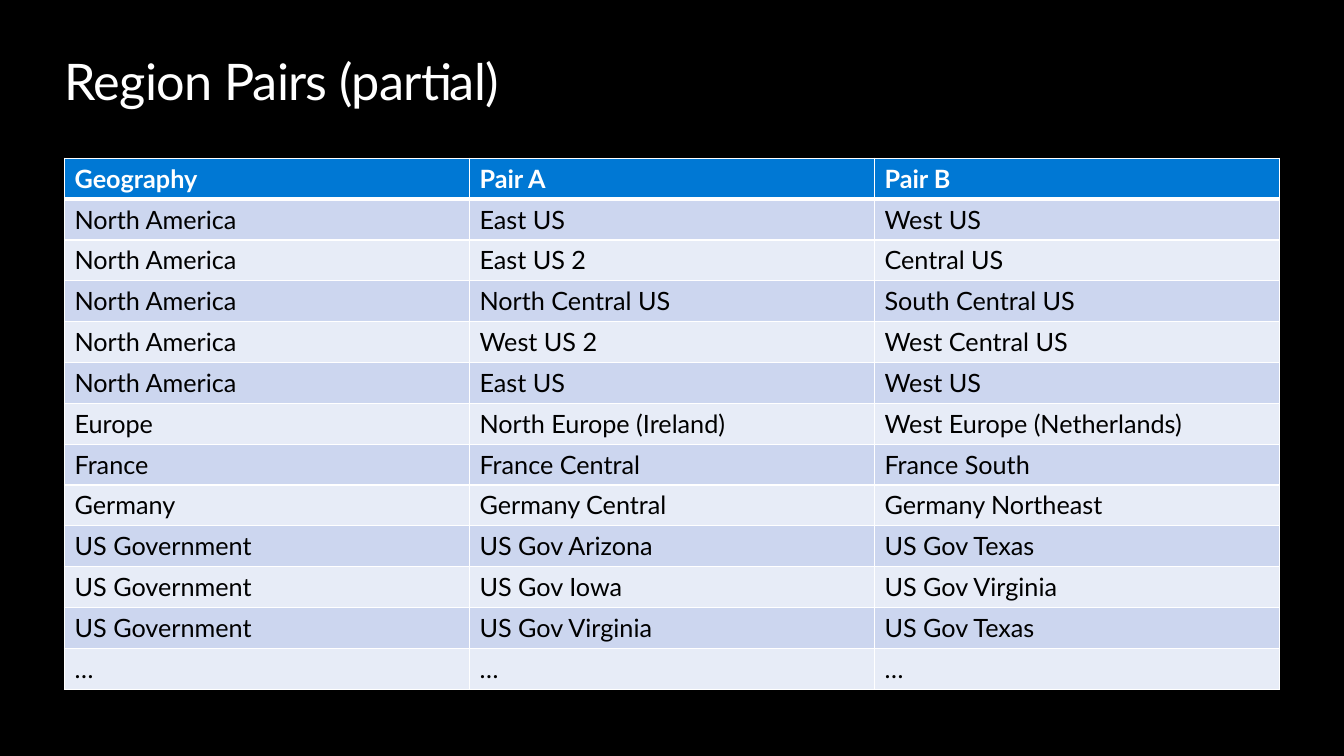
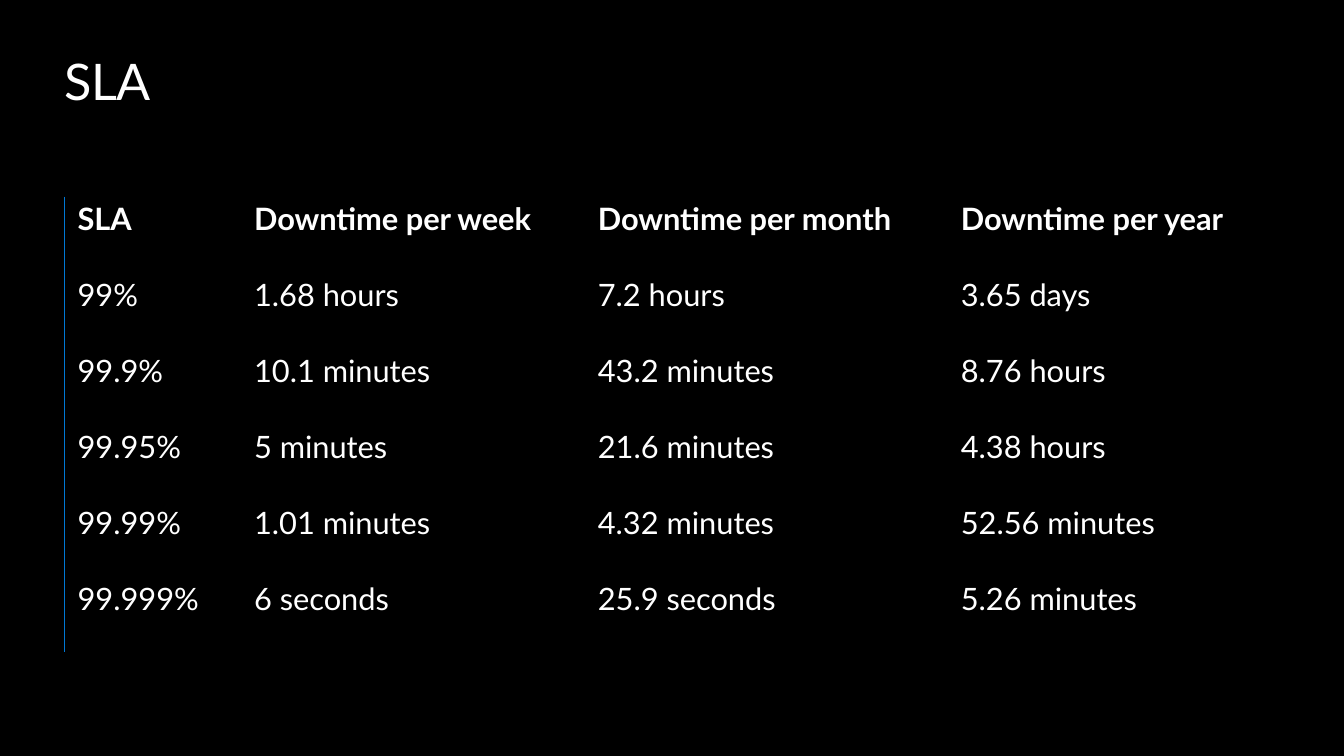
from dataclasses import dataclass

from lxml import etree
from pptx import Presentation
from pptx import util as u
from pptx.dml.color import RGBColor
from pptx.enum import text as t
from pptx.oxml import ns

SLIDE_W, SLIDE_H = 13.33, 7.5
MARGIN = 0.64
CONTENT_W = SLIDE_W - 2 * MARGIN
TITLE_TOP, TITLE_H = 0.5, 0.61
FONT = "Lato"
BLACK, WHITE, BLUE = "000000", "FFFFFF", "0078D4"
BAND_DARK, BAND_LIGHT = "CCD6EF", "E7ECF7"
NO_STYLE_NO_GRID = "{2D5ABB26-0587-4C30-8999-92F81FD0307C}"
SIDES = ("L", "R", "T", "B")


@dataclass(frozen=True)
class TableLook:
    """Lengths are inches; column shares are relative widths."""
    top: float
    height: float
    column_shares: tuple[float, ...]
    size: int
    header_fill: str
    band_fills: tuple[str, ...]
    body_color: str
    insets: tuple[float, float, float, float]  # left, top, right, bottom
    gridded: bool


@dataclass(frozen=True)
class TableSlide:
    title: str
    look: TableLook
    rows: tuple[tuple[str, ...], ...]


REGION_LOOK = TableLook(
    top=1.57, height=5.27, column_shares=(1, 1, 1), size=18,
    header_fill=BLUE, band_fills=(BAND_DARK, BAND_LIGHT), body_color=BLACK,
    insets=(0.1, 0.05, 0.1, 0.05), gridded=True)
SLA_LOOK = TableLook(
    top=1.95, height=4.52, column_shares=(1.75, 3.41, 3.6, 3.29), size=22,
    header_fill=BLACK, band_fills=(BLACK,), body_color=WHITE,
    insets=(0.13, 0.04, 0.2, 0.28), gridded=False)

SLIDES = (
    TableSlide("Region Pairs (partial)", REGION_LOOK, (
        ("Geography", "Pair A", "Pair B"),
        ("North America", "East US", "West US"),
        ("North America", "East US 2", "Central US"),
        ("North America", "North Central US", "South Central US"),
        ("North America", "West US 2", "West Central US"),
        ("North America", "East US", "West US"),
        ("Europe", "North Europe (Ireland)", "West Europe (Netherlands)"),
        ("France", "France Central", "France South"),
        ("Germany", "Germany Central", "Germany Northeast"),
        ("US Government", "US Gov Arizona", "US Gov Texas"),
        ("US Government", "US Gov Iowa", "US Gov Virginia"),
        ("US Government", "US Gov Virginia", "US Gov Texas"),
        ("…", "…", "…"),
    )),
    TableSlide("SLA", SLA_LOOK, (
        ("SLA", "Downtime per week", "Downtime per month", "Downtime per year"),
        ("99%", "1.68 hours", "7.2 hours", "3.65 days"),
        ("99.9%", "10.1 minutes", "43.2 minutes", "8.76 hours"),
        ("99.95%", "5 minutes", "21.6 minutes", "4.38 hours"),
        ("99.99%", "1.01 minutes", "4.32 minutes", "52.56 minutes"),
        ("99.999%", "6 seconds", "25.9 seconds", "5.26 minutes"),
    )),
)


def paint(fill, color: str) -> None:
    fill.solid()
    fill.fore_color.rgb = RGBColor.from_string(color)


def write(frame, words: str, *, size: int, color: str, bold: bool = False,
          tracking: float = 0) -> None:
    """Fill a text frame with one left-aligned run; tracking is in points."""
    paragraph = frame.paragraphs[0]
    paragraph.alignment = t.PP_ALIGN.LEFT
    run = paragraph.add_run()
    run.text = words
    run.font.name, run.font.size, run.font.bold = FONT, u.Pt(size), bold
    paint(run.font.fill, color)
    if tracking:
        run.font._element.set("spc", str(round(tracking * 100)))


def add_title(slide, words: str) -> None:
    title = slide.shapes.title
    title.left, title.top = u.Inches(MARGIN), u.Inches(TITLE_TOP)
    title.width, title.height = u.Inches(CONTENT_W), u.Inches(TITLE_H)
    frame = title.text_frame
    frame.margin_left = frame.margin_right = 0
    frame.margin_top = frame.margin_bottom = 0
    frame.vertical_anchor = t.MSO_ANCHOR.TOP
    frame.auto_size = t.MSO_AUTO_SIZE.NONE
    frame.word_wrap = True
    write(frame, words, size=36, color=WHITE, tracking=-0.5)


def cell_borders(look: TableLook, row: int, column: int) -> dict[str, tuple[str, float]]:
    """Map each drawn side to its colour and width in points."""
    if not look.gridded:
        return {"L": (BLUE, 1)} if column == 0 else {}
    heavy_side = {0: "B", 1: "T"}.get(row)
    return {side: (WHITE, 3 if side == heavy_side else 1) for side in SIDES}


def set_borders(cell, borders: dict[str, tuple[str, float]]) -> None:
    """Must run before the cell is filled, as lines precede the fill in the XML."""
    properties = cell._tc.get_or_add_tcPr()
    for side in SIDES:
        line = etree.SubElement(properties, ns.qn(f"a:ln{side}"))
        if side in borders:
            color, width = borders[side]
            line.set("w", str(u.Pt(width)))
            solid = etree.SubElement(line, ns.qn("a:solidFill"))
            etree.SubElement(solid, ns.qn("a:srgbClr"), val=color)
        else:
            etree.SubElement(line, ns.qn("a:noFill"))


def add_table(slide, look: TableLook, rows: tuple[tuple[str, ...], ...]) -> None:
    table = slide.shapes.add_table(
        len(rows), len(look.column_shares), u.Inches(MARGIN), u.Inches(look.top),
        u.Inches(CONTENT_W), u.Inches(look.height)).table
    table._tbl.tblPr.find(ns.qn("a:tableStyleId")).text = NO_STYLE_NO_GRID
    table.horz_banding = False
    for column, share in zip(table.columns, look.column_shares):
        column.width = u.Inches(CONTENT_W * share / sum(look.column_shares))

    for r, entries in enumerate(rows):
        is_header = r == 0
        band = look.band_fills[(r - 1) % len(look.band_fills)]
        for c, entry in enumerate(entries):
            cell = table.cell(r, c)
            (cell.margin_left, cell.margin_top, cell.margin_right,
             cell.margin_bottom) = map(u.Inches, look.insets)
            set_borders(cell, cell_borders(look, r, c))
            paint(cell.fill, look.header_fill if is_header else band)
            write(cell.text_frame, entry, size=look.size, bold=is_header,
                  color=WHITE if is_header else look.body_color)


def main() -> None:
    deck = Presentation()
    deck.slide_width, deck.slide_height = u.Inches(SLIDE_W), u.Inches(SLIDE_H)
    paint(deck.slide_master.background.fill, BLACK)
    title_only = deck.slide_layouts.get_by_name("Title Only")
    for content in SLIDES:
        slide = deck.slides.add_slide(title_only)
        add_title(slide, content.title)
        add_table(slide, content.look, content.rows)
    deck.save("out.pptx")


if __name__ == "__main__":
    main()
